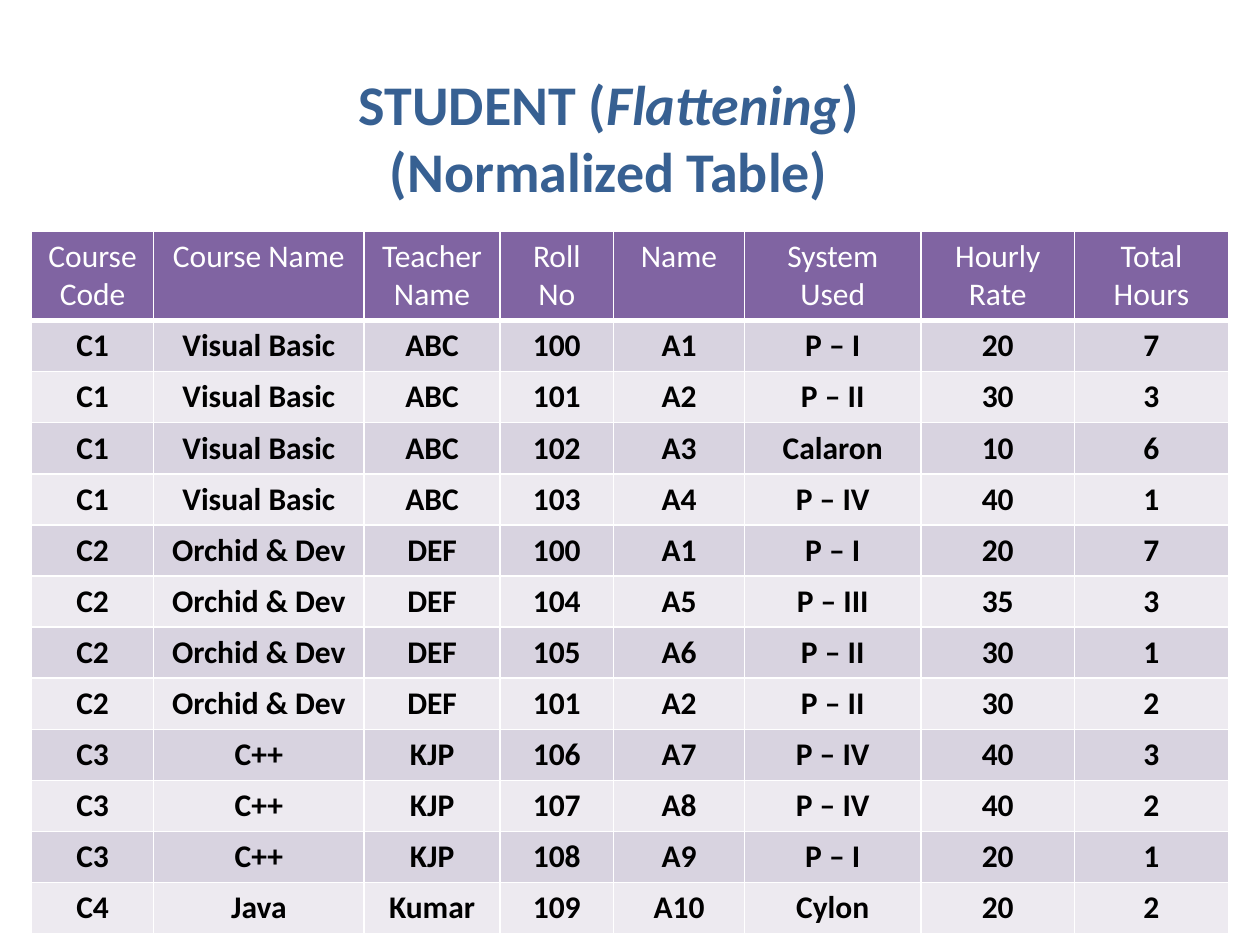
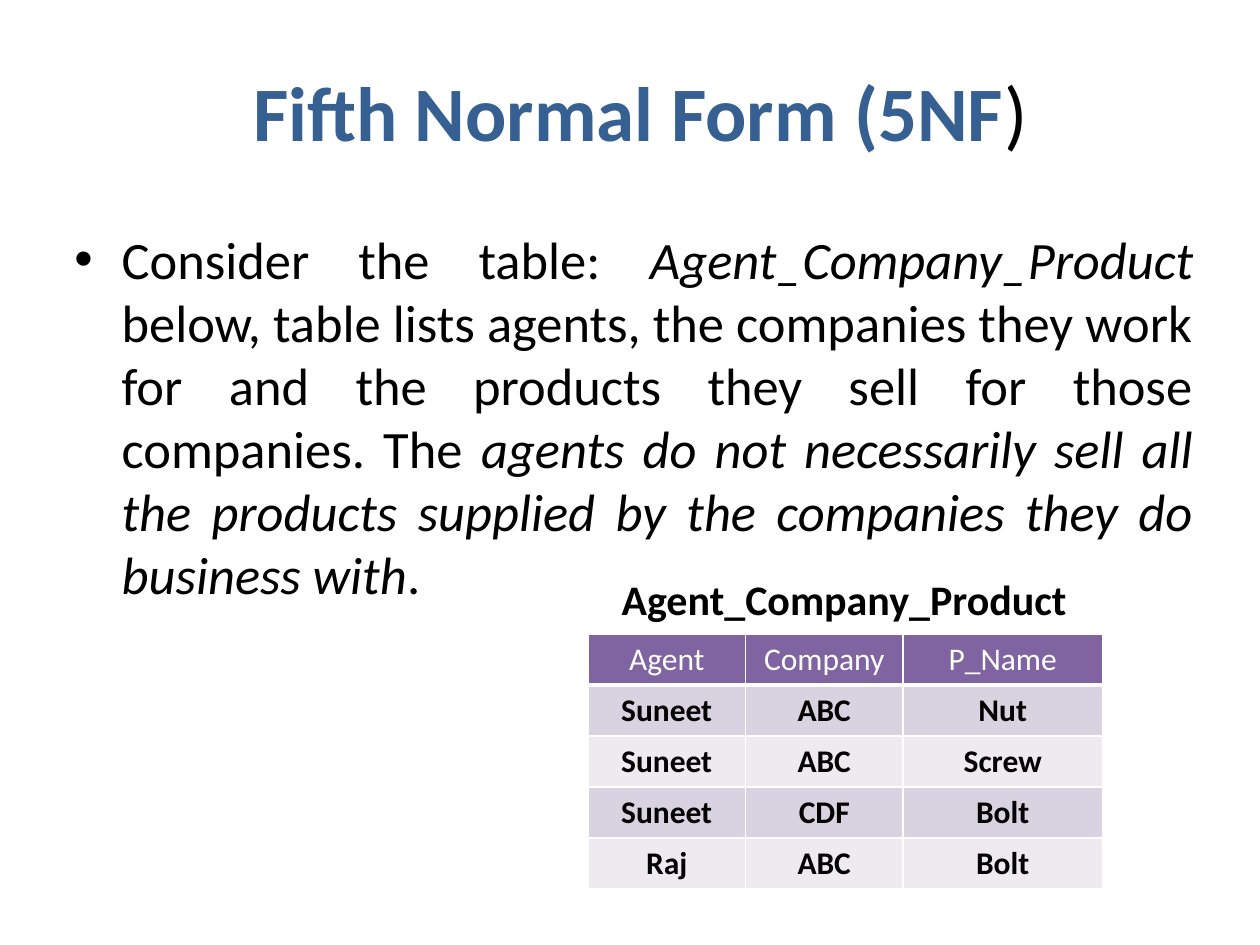
from dataclasses import dataclass
from typing import Optional

from lxml import etree
from pptx import Presentation
from pptx.dml.color import RGBColor
from pptx.enum.text import MSO_ANCHOR, MSO_AUTO_SIZE, PP_ALIGN
from pptx.oxml.ns import qn
from pptx.util import Inches, Pt

CENTER, JUSTIFY = PP_ALIGN.CENTER, PP_ALIGN.JUSTIFY
TOP, MIDDLE = MSO_ANCHOR.TOP, MSO_ANCHOR.MIDDLE
NO_AUTOFIT = MSO_AUTO_SIZE.NONE

TITLE_BLUE = RGBColor(0x37, 0x60, 0x92)
HEADER_PURPLE = RGBColor(0x80, 0x64, 0xA2)
BAND_DARK = RGBColor(0xD8, 0xD3, 0xE0)
BAND_LIGHT = RGBColor(0xED, 0xEA, 0xF0)
BLACK = RGBColor(0, 0, 0)
WHITE = RGBColor(255, 255, 255)

FONT = "Calibri"
SLIDE_WIDTH, SLIDE_HEIGHT = Inches(10), Inches(7.5)
GRID_COLUMNS, GRID_ROWS = 120, 90
HEADER_SIZE = BODY_CELL_SIZE = 18
BODY_ROW = 4.8


@dataclass(frozen=True)
class Area:
    column: float
    row: float
    columns: float
    rows: float


@dataclass(frozen=True)
class Span:
    text: str
    italic: Optional[bool] = None
    bold: Optional[bool] = None
    color: Optional[RGBColor] = None


@dataclass(frozen=True)
class Relation:
    column: float
    row: float
    widths: tuple
    header_row: float
    fields: tuple
    records: tuple


STUDENT = Relation(
    3, 22, (11.64, 20.04, 12.96, 10.8, 12.48, 16.8, 14.64, 14.64), 8.28,
    ("Course Code", "Course Name", "Teacher Name", "Roll No",
     "Name", "System Used", "Hourly Rate", "Total Hours"),
    (
        ("C1", "Visual Basic", "ABC", "100", "A1", "P – I", "20", "7"),
        ("C1", "Visual Basic", "ABC", "101", "A2", "P – II", "30", "3"),
        ("C1", "Visual Basic", "ABC", "102", "A3", "Calaron", "10", "6"),
        ("C1", "Visual Basic", "ABC", "103", "A4", "P – IV", "40", "1"),
        ("C2", "Orchid & Dev", "DEF", "100", "A1", "P – I", "20", "7"),
        ("C2", "Orchid & Dev", "DEF", "104", "A5", "P – III", "35", "3"),
        ("C2", "Orchid & Dev", "DEF", "105", "A6", "P – II", "30", "1"),
        ("C2", "Orchid & Dev", "DEF", "101", "A2", "P – II", "30", "2"),
        ("C3", "C++", "KJP", "106", "A7", "P – IV", "40", "3"),
        ("C3", "C++", "KJP", "107", "A8", "P – IV", "40", "2"),
        ("C3", "C++", "KJP", "108", "A9", "P – I", "20", "1"),
        ("C4", "Java", "Kumar", "109", "A10", "Cylon", "20", "2"),
    ),
)

AGENT_COMPANY_PRODUCT = Relation(
    56, 60.36, (15, 15, 19), BODY_ROW,
    ("Agent", "Company", "P_Name"),
    (
        ("Suneet", "ABC", "Nut"),
        ("Suneet", "ABC", "Screw"),
        ("Suneet", "CDF", "Bolt"),
        ("Raj", "ABC", "Bolt"),
    ),
)


def across(columns: float) -> int:
    return round(SLIDE_WIDTH * columns / GRID_COLUMNS)


def down(rows: float) -> int:
    return round(SLIDE_HEIGHT * rows / GRID_ROWS)


def bounds(area: Area) -> tuple:
    return across(area.column), down(area.row), across(area.columns), down(area.rows)


def place(shape, area: Area) -> None:
    shape.left, shape.top, shape.width, shape.height = bounds(area)


def style(paragraph, size: float, color: RGBColor, bold: bool, align=CENTER) -> None:
    paragraph.alignment = align
    font = paragraph.font
    font.name, font.size, font.bold = FONT, Pt(size), bold
    font.color.rgb = color


def write(frame, spans: tuple, size: float, color: RGBColor, bold: bool,
          align=CENTER, anchor=TOP) -> None:
    frame.word_wrap = True
    frame.auto_size = NO_AUTOFIT
    frame.vertical_anchor = anchor
    paragraph = frame.paragraphs[0]
    style(paragraph, size, color, bold, align)
    for span in spans:
        for index, line in enumerate(span.text.split("\n")):
            if index:
                paragraph.add_line_break()
            run = paragraph.add_run()
            run.text = line
            run.font.italic, run.font.bold = span.italic, span.bold
            if span.color is not None:
                run.font.color.rgb = span.color


def add_titled_slide(deck, layout: int, area: Area, spans: tuple, size: float, anchor):
    slide = deck.slides.add_slide(deck.slide_layouts[layout])
    place(slide.shapes.title, area)
    write(slide.shapes.title.text_frame, spans, size, TITLE_BLUE, True, anchor=anchor)
    return slide


def add_borders(cell, bottom: float) -> None:
    properties = cell._tc.get_or_add_tcPr()
    for index, (side, width) in enumerate(
            (("lnL", 1), ("lnR", 1), ("lnT", 1), ("lnB", bottom))):
        line = etree.Element(qn(f"a:{side}"), w=str(Pt(width)))
        fill = etree.SubElement(line, qn("a:solidFill"))
        etree.SubElement(fill, qn("a:srgbClr"), val=str(WHITE))
        properties.insert(index, line)


def add_relation(slide, relation: Relation) -> None:
    lines = (relation.fields, *relation.records)
    heights = [relation.header_row] + [BODY_ROW] * len(relation.records)
    area = Area(relation.column, relation.row, sum(relation.widths), sum(heights))
    grid = slide.shapes.add_table(len(lines), len(relation.fields), *bounds(area)).table
    for column, width in zip(grid.columns, relation.widths):
        column.width = across(width)
    for number, (row, height, values) in enumerate(zip(grid.rows, heights, lines)):
        row.height = down(height)
        is_header = number == 0
        band = HEADER_PURPLE if is_header else BAND_DARK if number % 2 else BAND_LIGHT
        for cell, value in zip(row.cells, values):
            cell.text = value
            cell.fill.solid()
            cell.fill.fore_color.rgb = band
            add_borders(cell, 3 if is_header else 1)
            style(cell.text_frame.paragraphs[0],
                  HEADER_SIZE if is_header else BODY_CELL_SIZE,
                  WHITE if is_header else BLACK, not is_header)


def add_flattening_slide(deck) -> None:
    heading = (Span("STUDENT ("), Span("Flattening", italic=True),
               Span(")\n(Normalized Table)"))
    slide = add_titled_slide(deck, 5, Area(9, 6, 98, 14.16), heading, 32, TOP)
    add_relation(slide, STUDENT)


def add_fifth_form_slide(deck) -> None:
    heading = (Span("Fifth Normal Form (5NF"), Span(")", bold=False, color=BLACK))
    slide = add_titled_slide(deck, 1, Area(7, 3, 108, 15), heading, 44, MIDDLE)
    explanation = slide.placeholders[1]
    place(explanation, Area(5.88, 21, 109, 37))
    write(explanation.text_frame, (
        Span("Consider the table: "),
        Span("Agent_Company_Product", italic=True),
        Span(" below, table lists agents, the companies they work for and the "
             "products they sell for those companies. The "),
        Span("agents do not necessarily sell all the products supplied by the "
             "companies they do business with", italic=True),
        Span("."),
    ), 30, BLACK, False, JUSTIFY)
    add_relation(slide, AGENT_COMPANY_PRODUCT)
    caption = slide.shapes.add_textbox(*bounds(Area(56.4, 54, 48, 6.24)))
    write(caption.text_frame, (Span("Agent_Company_Product"),), 24, BLACK, True)


def main() -> None:
    deck = Presentation()
    deck.slide_width, deck.slide_height = SLIDE_WIDTH, SLIDE_HEIGHT
    add_flattening_slide(deck)
    add_fifth_form_slide(deck)
    deck.save("out.pptx")


if __name__ == "__main__":
    main()
